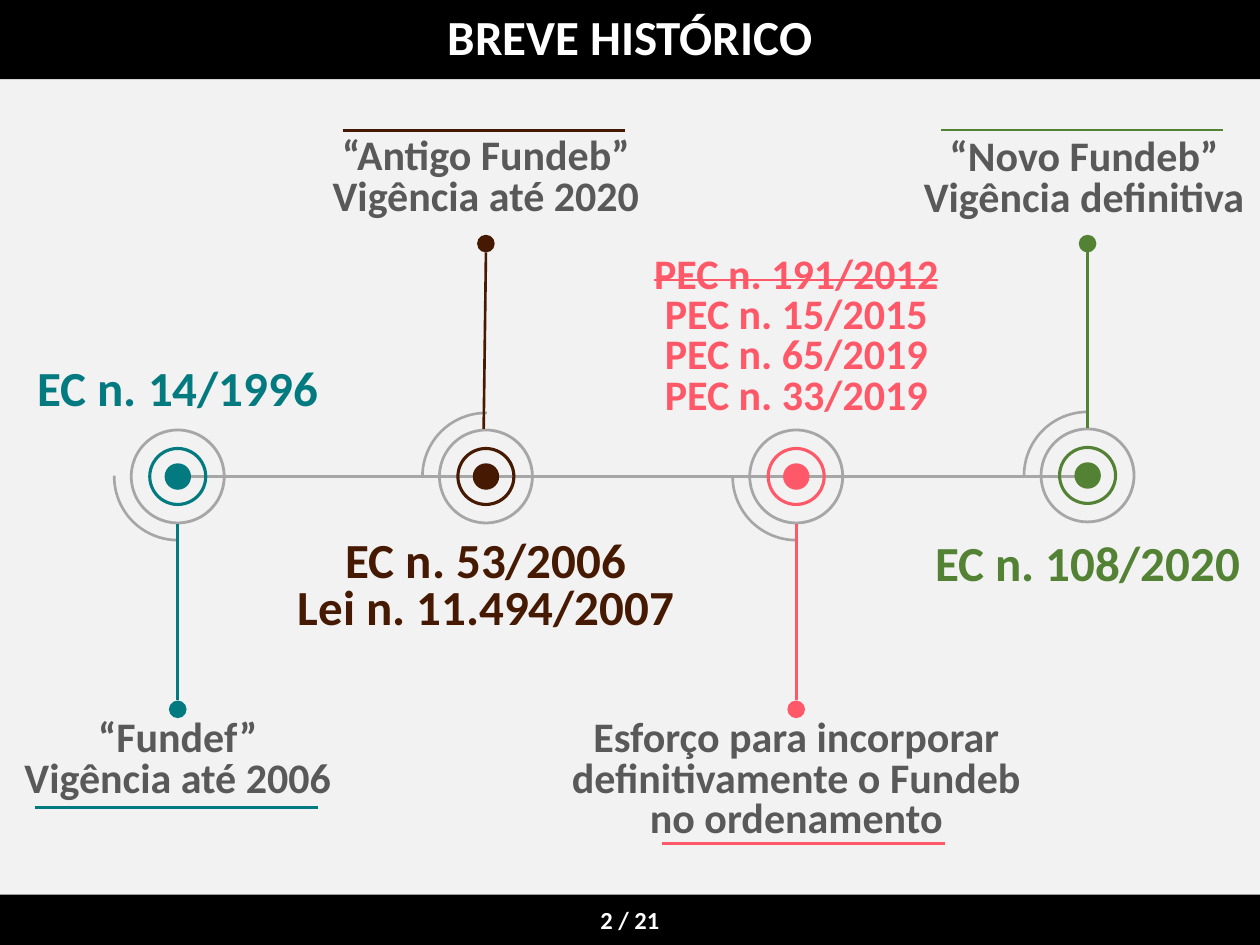
from dataclasses import dataclass

from lxml.etree import SubElement
from pptx import Presentation
from pptx.dml.color import RGBColor
from pptx.enum.shapes import MSO_CONNECTOR, MSO_SHAPE
from pptx.enum.text import MSO_ANCHOR, PP_ALIGN
from pptx.oxml.ns import qn
from pptx.util import Pt

BLACK, WHITE, PAPER = "000000", "FFFFFF", "F2F2F2"
GRAY, TEXT_GRAY = "A6A6A6", "595959"
TEAL, BROWN, PINK, GREEN = "027A80", "461A02", "FF5969", "548235"
WIDTH, HEIGHT = 720, 540
AXIS_Y = 272.3
ARC, DOT, INNER_RING, OUTER_RING, END_DOT = 72.7, 15.1, 33.8, 54.7, 10.1
STEM_START, STEM_END = 27.2, 128
RULE_WIDTH = 161.3


@dataclass
class Milestone:
    x: float
    color: str
    upward: bool
    law: list
    law_box: tuple  # top, width, height
    law_size: int
    law_spacing: float
    note: list
    note_box: tuple  # top, width, height
    rule_y: float
    rule_dx: float = 0  # rule centre from the milestone
    note_dx: float = 0
    foot_dx: float = 0  # stem start from the milestone
    struck: tuple = ()
    dy: float = 0


MILESTONES = [
    Milestone(101.6, TEAL, False, ["EC n. 14/1996"], (200.9, 203.8, 41), 28, 1,
              ["“Fundef”", "Vigência até 2006"], (408.2, 197.3, 54), 461.5,
              rule_dx=-0.8),
    Milestone(277.7, BROWN, True, ["EC n. 53/2006", "Lei n. 11.494/2007"],
              (305.3, 276.5, 62), 28, 0.8,
              ["“Antigo Fundeb”", "Vigência até 2020"], (75.6, 222.5, 54), 74.7,
              rule_dx=-1.2, foot_dx=-1.3),
    Milestone(455, PINK, False,
              ["PEC n. 191/2012", "PEC n. 15/2015", "PEC n. 65/2019", "PEC n. 33/2019"],
              (143.3, 186.5, 149), 24, 0.8,
              ["Esforço para incorporar definitivamente o Fundeb no ordenamento"],
              (408.2, 299.5, 77.8), 482.2, rule_dx=4.2, struck=("PEC n. 191/2012",)),
    Milestone(621.5, GREEN, True, ["EC n. 108/2020"], (301, 198, 41), 28, 1,
              ["“Novo Fundeb”", "Vigência definitiva"], (76.3, 257, 54), 74.3,
              rule_dx=-3, note_dx=-2, dy=-0.6),
]


def rgb(hex_color):
    return RGBColor.from_string(hex_color)


def add_shape(slide, kind, left, top, width, height, fill=None, line=None):
    shape = slide.shapes.add_shape(kind, Pt(left), Pt(top), Pt(width), Pt(height))
    shape.shadow.inherit = False
    if fill:
        shape.fill.solid()
        shape.fill.fore_color.rgb = rgb(fill)
    else:
        shape.fill.background()
    if line:
        shape.line.color.rgb = rgb(line)
        shape.line.width = Pt(1.5)
    else:
        shape.line.fill.background()
    return shape


def add_round(slide, kind, x, y, size, **colors):
    """Place a square-boxed shape around its centre."""
    return add_shape(slide, kind, x - size / 2, y - size / 2, size, size, **colors)


def add_line(slide, x1, y1, x2, y2, color):
    line = slide.shapes.add_connector(
        MSO_CONNECTOR.STRAIGHT, Pt(x1), Pt(y1), Pt(x2), Pt(y2))
    line.line.color.rgb = rgb(color)
    line.line.width = Pt(1.5)
    SubElement(line._element.spPr, qn("a:effectLst"))


def write(shape, lines, size, color, spacing=1, struck=()):
    frame = shape.text_frame
    frame.word_wrap = True
    for number, line in enumerate(lines):
        paragraph = frame.add_paragraph() if number else frame.paragraphs[0]
        paragraph.alignment = PP_ALIGN.CENTER
        paragraph.line_spacing = spacing
        run = paragraph.add_run()
        run.text = line
        run.font.color.rgb = rgb(color)
        for name, value in {"name": "Calibri", "size": Pt(size), "bold": True}.items():
            setattr(run.font, name, value)
        if line in struck:
            run.font._element.set("strike", "sngStrike")


def add_label(slide, x, box, lines, size, color, spacing, struck=()):
    top, width, height = box
    label = slide.shapes.add_textbox(Pt(x - width / 2), Pt(top), Pt(width), Pt(height))
    write(label, lines, size, color, spacing, struck)


def add_band(slide, top, height, text, size, spacing=1):
    band = add_shape(slide, MSO_SHAPE.RECTANGLE, 0, top, WIDTH, height, fill=BLACK)
    band.text_frame.vertical_anchor = MSO_ANCHOR.MIDDLE
    write(band, [text], size, WHITE, spacing)


def add_axis(slide):
    for start in (105, 283, 455):
        add_line(slide, start, AXIS_Y, start + 165, AXIS_Y, GRAY)


def add_target(slide, x, y, color, upward):
    """Draw the dot, its two rings and the outer quarter arc."""
    arc = add_round(slide, MSO_SHAPE.ARC, x, y, ARC, line=GRAY)
    arc.adjustments[0], arc.adjustments[1] = 54.2, 108.53
    arc.rotation = 90 if upward else 0
    add_round(slide, MSO_SHAPE.OVAL, x, y, DOT, fill=color)
    for size, thickness, ring_color in ((INNER_RING, 0.053, color),
                                        (OUTER_RING, 0.029, GRAY)):
        ring = add_round(slide, MSO_SHAPE.DONUT, x, y, size, fill=ring_color)
        ring.adjustments[0] = thickness


def add_milestone(slide, item):
    x, y, color = item.x, AXIS_Y + item.dy, item.color
    side = -1 if item.upward else 1
    add_target(slide, x, y, color, item.upward)
    add_line(slide, x + item.foot_dx, y + side * STEM_START,
             x, AXIS_Y + side * STEM_END, color)
    add_round(slide, MSO_SHAPE.OVAL, x, AXIS_Y + side * (STEM_END + END_DOT / 2),
              END_DOT, fill=color)
    add_label(slide, x, item.law_box, item.law, item.law_size, color,
              item.law_spacing, item.struck)
    add_label(slide, x + item.note_dx, item.note_box, item.note, 24, TEXT_GRAY, 0.8)
    rule_left = x + item.rule_dx - RULE_WIDTH / 2
    add_line(slide, rule_left, item.rule_y, rule_left + RULE_WIDTH, item.rule_y, color)


def main():
    prs = Presentation()
    prs.slide_width, prs.slide_height = Pt(WIDTH), Pt(HEIGHT)
    slide = prs.slides.add_slide(prs.slide_layouts[6])
    slide.background.fill.solid()
    slide.background.fill.fore_color.rgb = rgb(PAPER)
    add_band(slide, 0, 45.2, "BREVE HISTÓRICO", 28, 0.9)
    add_band(slide, 511.2, 28.8, "2 / 21", 14)
    add_axis(slide)
    for item in MILESTONES:
        add_milestone(slide, item)
    prs.save("out.pptx")


if __name__ == "__main__":
    main()
